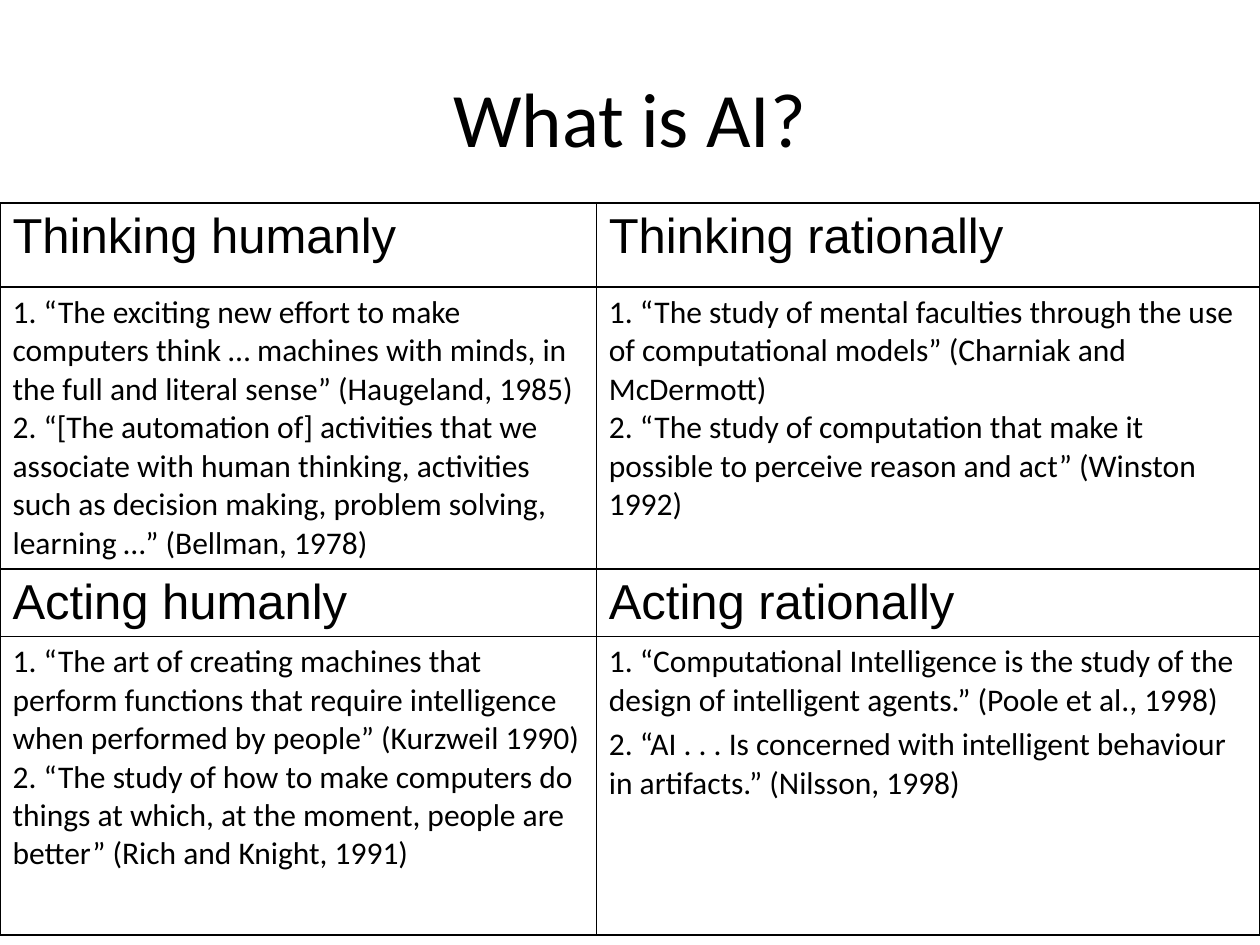
import pptx
import pptx.dml.color
import pptx.enum.text
import pptx.oxml
import pptx.oxml.ns
import pptx.util
from pptx.util import Cm

TITLE = "What is AI?"
# Each row holds the paragraphs of its left and right cells.
ROWS = [
    (["Thinking humanly"], ["Thinking rationally"]),
    (
        [
            "1. “The exciting new effort to make computers think … machines with minds, "
            "in the full and literal sense” (Haugeland, 1985)",
            "2. “[The automation of] activities that we associate with human thinking, "
            "activities such as decision making, problem solving,",
            "learning …” (Bellman, 1978)",
        ],
        [
            "1. “The study of mental faculties through the use",
            "of computational models” (Charniak and McDermott)",
            "2. “The study of computation that make it possible to perceive reason "
            "and act” (Winston 1992)",
        ],
    ),
    (["Acting humanly"], ["Acting rationally"]),
    (
        [
            "1. “The art of creating machines that perform functions that require "
            "intelligence when performed by people” (Kurzweil 1990)",
            "2. “The study of how to make computers do",
            "things at which, at the moment, people are better” (Rich and Knight, 1991)",
        ],
        [
            "1. “Computational Intelligence is the study of the design of intelligent "
            "agents.” (Poole et al., 1998)",
            "2. “AI . . . Is concerned with intelligent behaviour in artifacts.” "
            "(Nilsson, 1998)",
        ],
    ),
]
SPACED_CELL = (3, 1)  # the only definition cell with a gap between its paragraphs
COLUMN_WIDTHS = [Cm(12.02), Cm(13.38)]
ROW_HEIGHTS = [Cm(1.7), Cm(5.67), Cm(1.36), Cm(6.02)]

THEME = {
    "ink": "000000",
    "title": ("Calibri", 44),
    "heading": ("Arial", 28),
    "definition": ("Calibri", 18),
    "border_pt": 1,
    "gap_share": 0.2,
}


def write(text_frame, paragraphs, style, spaced=False):
    font_name, size = THEME[style]
    text_frame.text = "\n".join(paragraphs)
    for paragraph in text_frame.paragraphs:
        paragraph.space_before = pptx.util.Pt(size * THEME["gap_share"] if spaced else 0)
        for run in paragraph.runs:
            run.font.name = font_name
            run.font.size = pptx.util.Pt(size)
            run.font.color.rgb = pptx.dml.color.RGBColor.from_string(THEME["ink"])


def add_borders(cell):
    """Rule all four sides; the lines must precede the fill in the cell properties."""
    properties = cell._tc.get_or_add_tcPr()
    for position, side in enumerate(("lnL", "lnR", "lnT", "lnB")):
        line = pptx.oxml.parse_xml(
            f'<a:{side} {pptx.oxml.ns.nsdecls("a")} w="{pptx.util.Pt(THEME["border_pt"])}">'
            f'<a:solidFill><a:srgbClr val="{THEME["ink"]}"/></a:solidFill></a:{side}>'
        )
        properties.insert(position, line)


def add_title(slide):
    title = slide.shapes.add_textbox(Cm(1.27), Cm(0.76), Cm(22.86), Cm(3.18))
    title.text_frame.word_wrap = True
    title.text_frame.vertical_anchor = pptx.enum.text.MSO_ANCHOR.MIDDLE
    write(title.text_frame, [TITLE], "title")
    title.text_frame.paragraphs[0].alignment = pptx.enum.text.PP_ALIGN.CENTER


def add_definitions(slide):
    table = slide.shapes.add_table(
        len(ROWS), len(COLUMN_WIDTHS), Cm(0), Cm(4.09), sum(COLUMN_WIDTHS), sum(ROW_HEIGHTS)
    ).table
    table.first_row = table.horz_banding = False
    for column, width in zip(table.columns, COLUMN_WIDTHS):
        column.width = width
    for r, (row, height) in enumerate(zip(ROWS, ROW_HEIGHTS)):
        table.rows[r].height = height
        style = "definition" if r % 2 else "heading"
        for c, paragraphs in enumerate(row):
            cell = table.cell(r, c)
            cell.fill.background()
            add_borders(cell)
            spaced = style == "heading" or (r, c) == SPACED_CELL
            write(cell.text_frame, paragraphs, style, spaced)


def main():
    presentation = pptx.Presentation()
    presentation.slide_width, presentation.slide_height = Cm(25.4), Cm(19.05)
    slide = presentation.slides.add_slide(presentation.slide_layouts[6])
    add_definitions(slide)
    add_title(slide)
    presentation.save("out.pptx")


if __name__ == "__main__":
    main()
